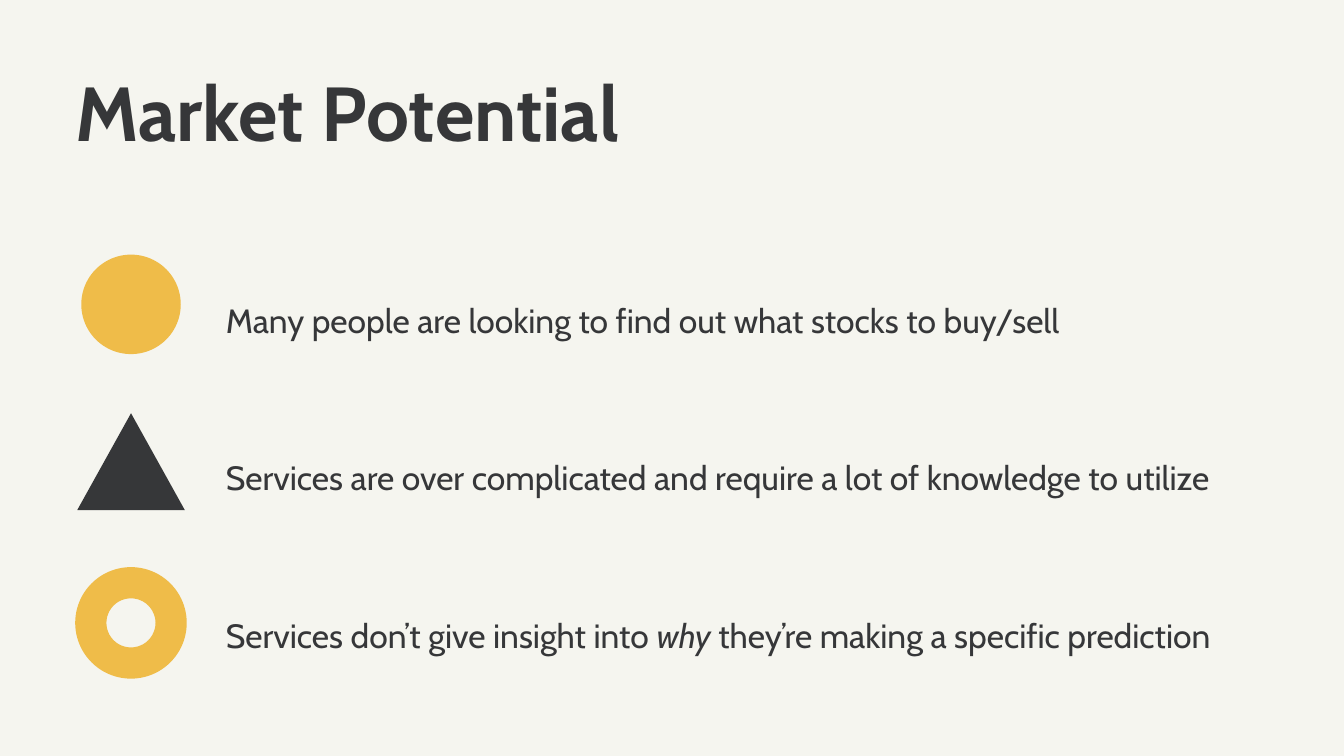
import pptx
import pptx.util
import pptx.dml.color
import pptx.enum.shapes
import pptx.enum.text

Inches = pptx.util.Inches
KIND = pptx.enum.shapes.MSO_SHAPE
COLORS = {"paper": "F5F5EF", "ink": "363739", "gold": "EFBC49"}
WIDE = 10
HIGH = WIDE * 9 / 16
LEFT, TOP = 0.56, 1.68      # corner of the list of points
ROW = 1.17                  # height of one point
ICON, GAP = 0.83, 0.29      # icon column and the gap after it

# icon kind, colour, width, height, drop below the row's middle, text runs
POINTS = [
    (KIND.OVAL, "gold", 0.74, 0.74, 0,
     [("Many people are looking to find out what stocks to buy/sell", None)]),
    (KIND.ISOSCELES_TRIANGLE, "ink", 0.8, 0.72, 0,
     [("Services are over complicated and require a lot of knowledge to utilize", None)]),
    (KIND.DONUT, "gold", 0.83, 0.83, 0.03,
     [("Services don’t give insight into ", None), ("why", True),
      (" they’re making a specific prediction", None)]),
]


def color(name):
    return pptx.dml.color.RGBColor.from_string(COLORS[name])


def write(slide, box, runs, size=18, bold=None, lead=1.4):
    """Add a text box without insets; runs are (text, italic) pairs."""
    frame = slide.shapes.add_textbox(*map(Inches, box)).text_frame
    frame.word_wrap = True
    frame.vertical_anchor = pptx.enum.text.MSO_ANCHOR.TOP
    frame.margin_left = frame.margin_right = 0
    frame.margin_top = frame.margin_bottom = 0
    line = frame.paragraphs[0]
    line.line_spacing = lead
    for text, slant in runs:
        run = line.add_run()
        run.text = text
        font = run.font
        font.name, font.size = "Cabin", pptx.util.Pt(size)
        font.bold, font.italic = bold, slant
        font.color.rgb = color("ink")


def draw_icon(slide, box, kind, fill, wide, high, drop):
    """Centre an icon in its box, moved down by drop."""
    x, y, w, h = box
    spot = (x + (w - wide) / 2, y + (h - high) / 2 + drop, wide, high)
    icon = slide.shapes.add_shape(kind, *map(Inches, spot))
    icon.shadow.inherit = False
    icon.fill.solid()
    icon.fill.fore_color.rgb = color(fill)
    icon.line.fill.background()
    if kind == KIND.DONUT:
        icon.adjustments[0] = 0.28


def add_point(slide, box, point):
    x, y, w, h = box
    *look, runs = point
    draw_icon(slide, (x, y, ICON, h), *look)
    shift = ICON + GAP
    write(slide, (x + shift, y + 0.37 * h, w - shift, 0.26 * h), runs)


def add_title(slide, box):
    write(slide, box, [("Market Potential", None)], size=41, bold=True, lead=0.9)


def main():
    deck = pptx.Presentation()
    deck.slide_width, deck.slide_height = Inches(WIDE), Inches(HIGH)
    slide = deck.slides.add_slide(deck.slide_layouts[6])
    slide.background.fill.solid()
    slide.background.fill.fore_color.rgb = color("paper")
    add_title(slide, (LEFT, 0.1 * HIGH, 0.71 * WIDE, 0.14 * HIGH))
    for i, point in enumerate(POINTS):
        add_point(slide, (LEFT, TOP + i * ROW, WIDE - LEFT - 0.3, ROW), point)
    deck.save("out.pptx")


if __name__ == "__main__":
    main()
